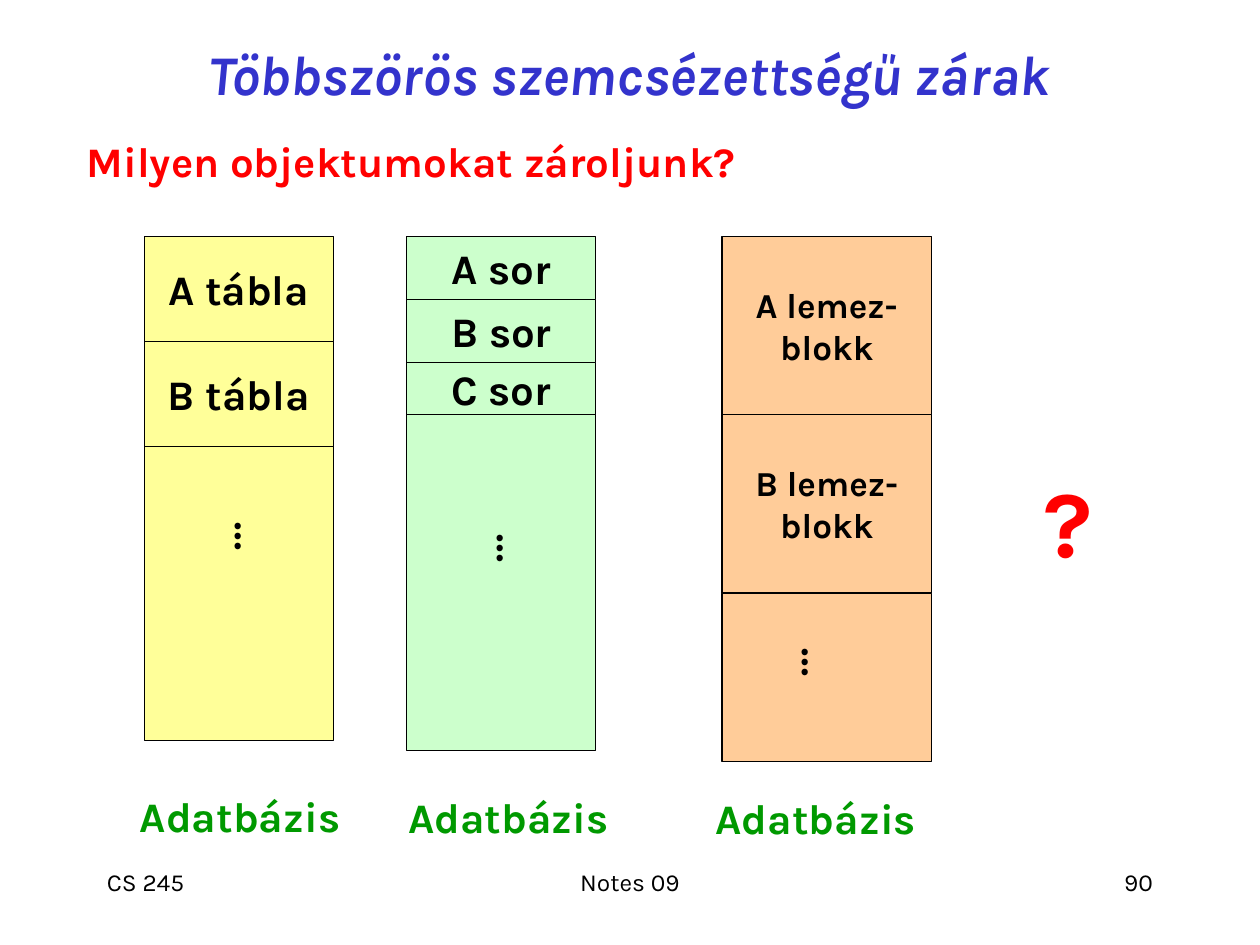
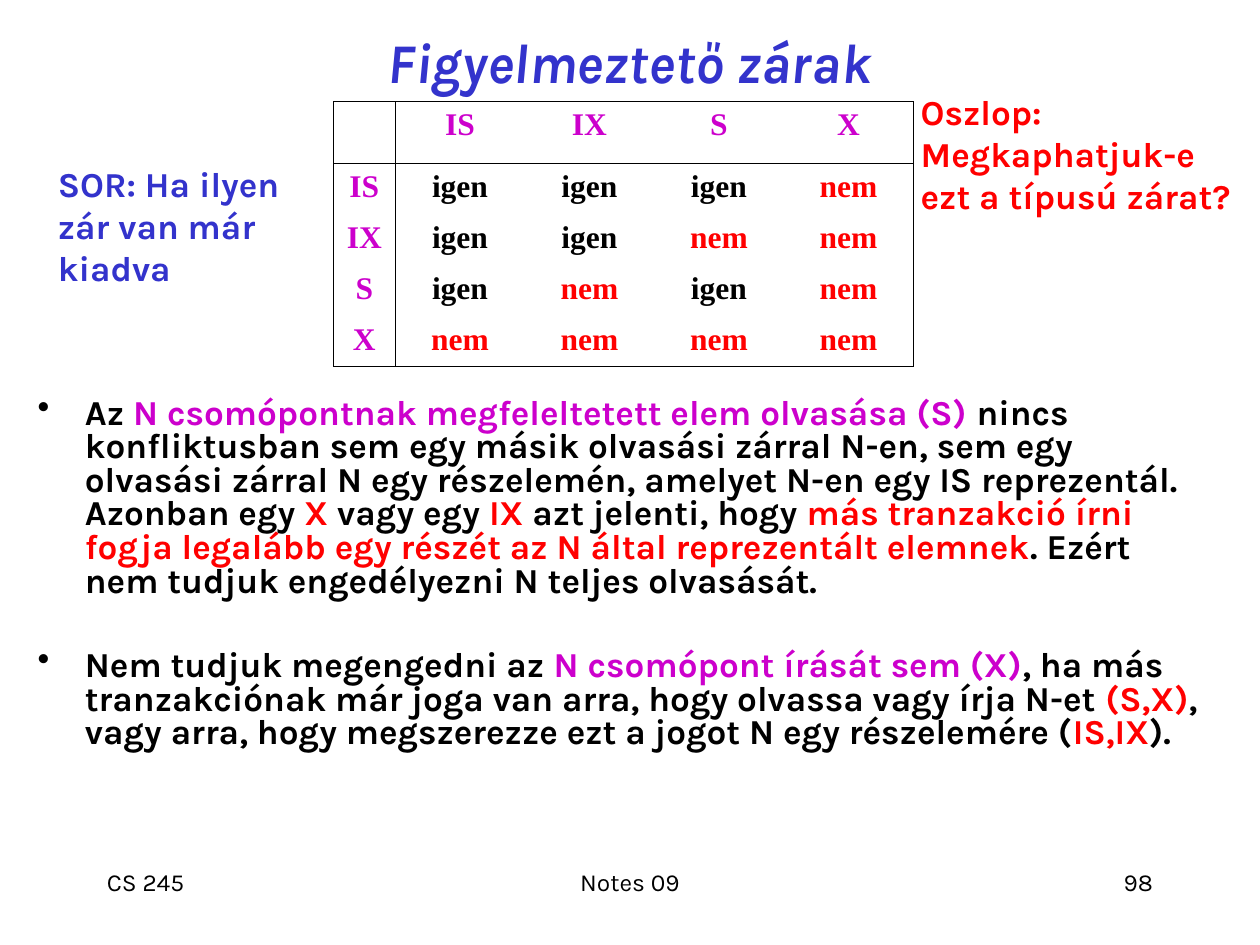
from lxml import etree
from pptx import Presentation
from pptx.dml.color import RGBColor
from pptx.enum.shapes import MSO_SHAPE
from pptx.enum.text import MSO_ANCHOR, MSO_AUTO_SIZE, PP_ALIGN
from pptx.oxml.ns import qn
from pptx.util import Pt

LEFT, CENTER, RIGHT = PP_ALIGN.LEFT, PP_ALIGN.CENTER, PP_ALIGN.RIGHT
TOP, MIDDLE = MSO_ANCHOR.TOP, MSO_ANCHOR.MIDDLE
RECTANGLE = MSO_SHAPE.RECTANGLE
NO_AUTOFIT = MSO_AUTO_SIZE.NONE

BLACK, RED, BLUE, GREEN, PURPLE = "000000", "FF0000", "3333CC", "009900", "CC00CC"
YELLOW, MINT, PEACH = "FFFF99", "CCFFCC", "FFCC99"
TEXT_FONT, TABLE_FONT = "Karla", "Times New Roman"
TITLE_LEFT, TITLE_WIDTH, TITLE_HEIGHT = 53.5, 612, 42

COURSE, NOTES = "CS 245", "Notes 09"
FOOTER_TOP, FOOTER_HEIGHT = 492, 36

GRANULARITY = {"title": "Többszörös szemcsézettségű zárak", "title_top": 21, "number": "90"}
QUESTION = "Milyen objektumokat zároljunk?"
DATABASE = "Adatbázis"
STACK_TOP = 135
STACKS = [
    {"left": 82.5, "width": 108, "fill": YELLOW, "size": 24,
     "parts": [(["A tábla"], 60), (["B tábla"], 60), ([], 168)],
     "dots": (147.2, 306.7), "label": (137.2, 448)},
    {"left": 232.5, "width": 108, "fill": MINT, "size": 24,
     "parts": [(["A sor"], 36), (["B sor"], 36), (["C sor"], 30), ([], 192)],
     "dots": (297, 313.2), "label": (290.5, 448.5)},
    {"left": 412.5, "width": 120, "fill": PEACH, "size": 20,
     "parts": [(["A lemez-", "blokk"], 102), (["B lemez-", "blokk"], 102), ([], 96)],
     "dots": (471.2, 378.7), "label": (466.2, 449.3)},
]
DOTS_WIDTH, DOTS_HEIGHT = 44, 46
LABEL_WIDTH, LABEL_HEIGHT = 150, 36

WARNING = {"title": "Figyelmeztető zárak", "title_top": 14, "number": "98"}
ROW_NOTE = "SOR: Ha ilyen zár van már kiadva"
COLUMN_NOTE = "Oszlop: Megkaphatjuk-e ezt a típusú zárat?"
LOCK_MATRIX = [
    ["", "IS", "IX", "S", "X"],
    ["IS", "igen", "igen", "igen", "nem"],
    ["IX", "igen", "igen", "nem", "nem"],
    ["S", "igen", "nem", "igen", "nem"],
    ["X", "nem", "nem", "nem", "nem"],
]
ANSWER_COLOURS = {"igen": BLACK, "nem": RED}
COLUMN_WIDTHS = [35.4] + [74] * 4
ROW_HEIGHTS = [35.4] + [29] * 4
RULED_EDGES = (0, 1, 5)
EXPLANATIONS = [
    (0, [
        ("Az ", BLACK),
        ("N csomópontnak megfeleltetett elem olvasása (S) ", PURPLE),
        ("nincs konfliktusban sem egy másik olvasási zárral N-en, sem egy olvasási "
         "zárral N egy részelemén, amelyet N-en egy IS reprezentál. Azonban egy ", BLACK),
        ("X", RED),
        (" vagy egy ", BLACK),
        ("IX", RED),
        (" azt jelenti, hogy ", BLACK),
        ("más tranzakció írni fogja legalább egy részét az N által reprezentált elemnek", RED),
        (". Ezért nem tudjuk engedélyezni N teljes olvasását.", BLACK),
    ]),
    (29, [
        ("Nem tudjuk megengedni az ", BLACK),
        ("N csomópont írását sem (X)", PURPLE),
        (", ha más tranzakciónak már joga van arra, hogy olvassa vagy írja N-et ", BLACK),
        ("(S,X)", RED),
        (", vagy arra, hogy megszerezze ezt a jogot N egy részelemére (", BLACK),
        ("IS,IX", RED),
        (").", BLACK),
    ]),
]


def colour(value):
    return RGBColor.from_string(value)


def add_run(paragraph, text, size, ink, bold=True, italic=False, face=TEXT_FONT):
    run = paragraph.add_run()
    run.text = text
    font = run.font
    font.name, font.size, font.bold, font.italic = face, Pt(size), bold, italic
    font.color.rgb = colour(ink)


def write(frame, lines, size, ink, align=LEFT, anchor=TOP, **style):
    frame.word_wrap = True
    frame.auto_size = NO_AUTOFIT
    frame.vertical_anchor = anchor
    for index, line in enumerate(lines):
        paragraph = frame.add_paragraph() if index else frame.paragraphs[0]
        paragraph.alignment = align
        add_run(paragraph, line, size, ink, **style)


def add_text(slide, box, text, size, ink, **style):
    textbox = slide.shapes.add_textbox(*map(Pt, box))
    write(textbox.text_frame, [text], size, ink, **style)
    return textbox


def add_slide(deck, heading):
    slide = deck.slides.add_slide(deck.slide_layouts[5])
    title = slide.shapes.title
    title.left, title.top = Pt(TITLE_LEFT), Pt(heading["title_top"])
    title.width, title.height = Pt(TITLE_WIDTH), Pt(TITLE_HEIGHT)
    write(title.text_frame, [heading["title"]], 32, BLUE, CENTER, MIDDLE, italic=True)
    footers = [(54, 150, COURSE, LEFT), (246, 228, NOTES, CENTER),
               (516, 150, heading["number"], RIGHT)]
    for left, width, text, align in footers:
        add_text(slide, (left, FOOTER_TOP, width, FOOTER_HEIGHT), text, 14, BLACK,
                 align=align, bold=False)
    return slide


def add_stack(slide, stack):
    top = STACK_TOP
    for lines, height in stack["parts"]:
        part = slide.shapes.add_shape(
            RECTANGLE, Pt(stack["left"]), Pt(top), Pt(stack["width"]), Pt(height))
        part.shadow.inherit = False
        part.fill.solid()
        part.fill.fore_color.rgb = colour(stack["fill"])
        part.line.color.rgb = colour(BLACK)
        part.line.width = Pt(0.75)
        write(part.text_frame, lines, stack["size"], BLACK, CENTER, MIDDLE)
        top += height
    x, y = stack["dots"]
    dots = add_text(
        slide, (x - DOTS_WIDTH / 2, y - DOTS_HEIGHT / 2, DOTS_WIDTH, DOTS_HEIGHT),
        "...", 32, BLACK, align=CENTER, anchor=MIDDLE, bold=False)
    dots.rotation = 90
    x, y = stack["label"]
    add_text(slide, (x - LABEL_WIDTH / 2, y, LABEL_WIDTH, LABEL_HEIGHT), DATABASE, 24,
             GREEN, align=CENTER, anchor=MIDDLE)


def set_borders(cell, row, column):
    properties = cell._tc.get_or_add_tcPr()
    for side, edge in zip("LRTB", (column, column + 1, row, row + 1)):
        border = etree.SubElement(properties, qn(f"a:ln{side}"), w=str(Pt(0.45)))
        if edge in RULED_EDGES:
            fill = etree.SubElement(border, qn("a:solidFill"))
            etree.SubElement(fill, qn("a:srgbClr"), val=BLACK)
        else:
            etree.SubElement(border, qn("a:noFill"))


def add_lock_matrix(slide):
    count = len(LOCK_MATRIX)
    matrix = slide.shapes.add_table(
        count, count, Pt(190.5), Pt(58), Pt(sum(COLUMN_WIDTHS)), Pt(sum(ROW_HEIGHTS))).table
    matrix.first_row = matrix.horz_banding = False
    for column, width in zip(matrix.columns, COLUMN_WIDTHS):
        column.width = Pt(width)
    for row, height in zip(matrix.rows, ROW_HEIGHTS):
        row.height = Pt(height)
    for i, answers in enumerate(LOCK_MATRIX):
        for j, answer in enumerate(answers):
            cell = matrix.cell(i, j)
            set_borders(cell, i, j)
            cell.fill.background()
            cell.margin_left = cell.margin_right = Pt(7.2)
            cell.margin_top = cell.margin_bottom = Pt(3.6)
            paragraph = cell.text_frame.paragraphs[0]
            paragraph.alignment = CENTER
            if answer:
                add_run(paragraph, answer, 18, ANSWER_COLOURS.get(answer, PURPLE),
                        face=TABLE_FONT)
            else:
                paragraph.font.size = Pt(18)


def add_explanations(slide):
    frame = slide.shapes.add_textbox(Pt(14.4), Pt(224), Pt(680.4), Pt(260)).text_frame
    frame.word_wrap = True
    for index, (gap, pieces) in enumerate(EXPLANATIONS):
        paragraph = frame.add_paragraph() if index else frame.paragraphs[0]
        properties = paragraph._p.get_or_add_pPr()
        properties.set("marL", str(Pt(27)))
        properties.set("indent", str(Pt(-27)))
        bullet_colour = etree.SubElement(properties, qn("a:buClr"))
        etree.SubElement(bullet_colour, qn("a:srgbClr"), val=BLACK)
        etree.SubElement(properties, qn("a:buChar"), char="•")
        paragraph.line_spacing = 0.8
        if gap:
            paragraph.space_before = Pt(gap)
        for text, ink in pieces:
            add_run(paragraph, text, 20, ink)


def main():
    deck = Presentation()
    deck.slide_width, deck.slide_height = Pt(720), Pt(540)

    granularity = add_slide(deck, GRANULARITY)
    add_text(granularity, (42.5, 47, 612, 90), QUESTION, 24, RED, anchor=MIDDLE)
    for stack in STACKS:
        add_stack(granularity, stack)
    add_text(granularity, (580, 261, 60, 72), "?", 54, RED, align=CENTER, anchor=MIDDLE)

    warning = add_slide(deck, WARNING)
    add_explanations(warning)
    add_lock_matrix(warning)
    add_text(warning, (26, 89.3, 148, 79), ROW_NOTE, 20, BLUE)
    add_text(warning, (519, 48, 201, 79), COLUMN_NOTE, 20, RED)

    deck.save("out.pptx")


if __name__ == "__main__":
    main()
